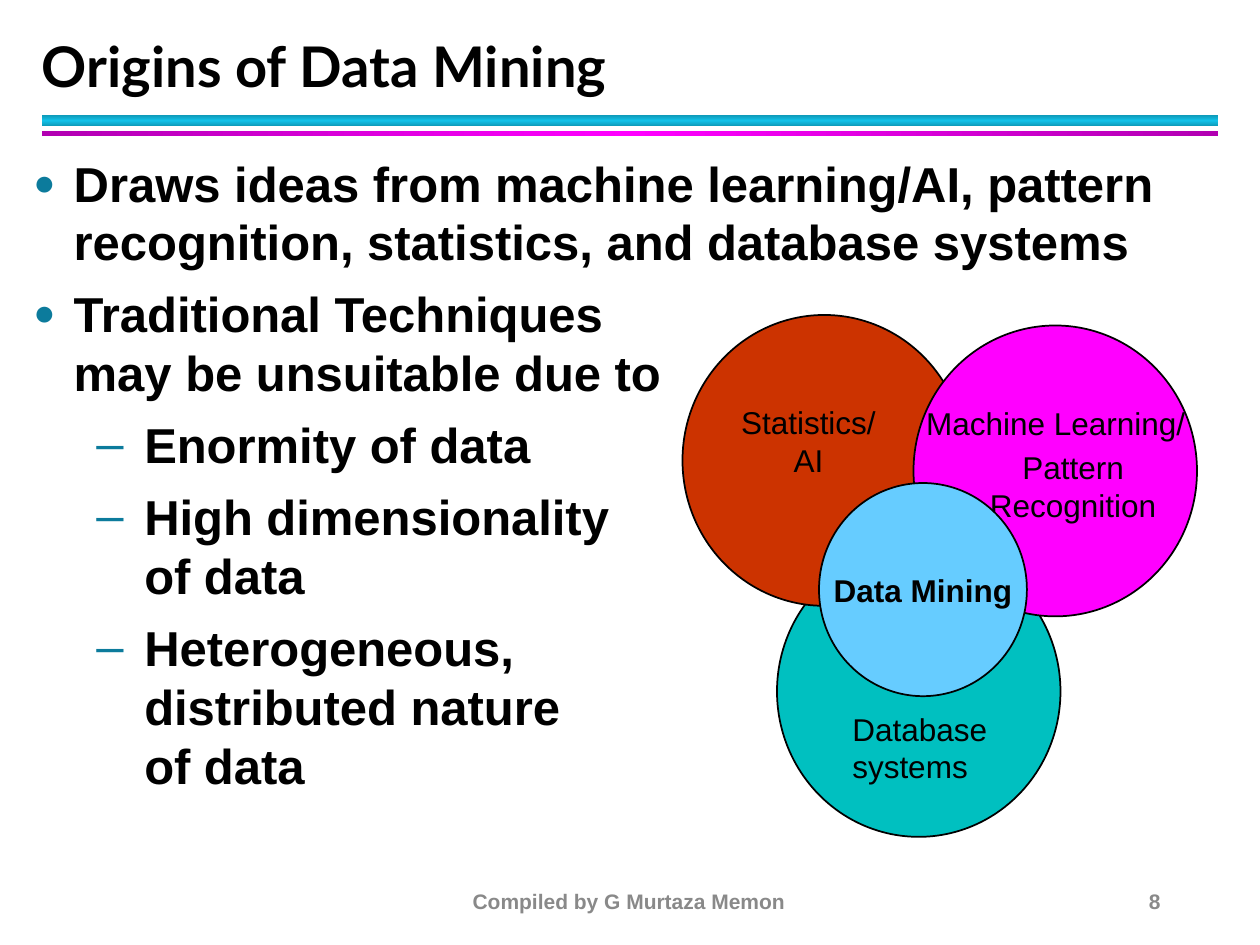
from copy import deepcopy
from dataclasses import dataclass

from pptx import Presentation
from pptx.dml.color import RGBColor as RGB
from pptx.enum.shapes import MSO_SHAPE as Shape
from pptx.enum.text import MSO_ANCHOR as Anchor, PP_ALIGN as Align
from pptx.oxml import parse_xml
from pptx.oxml.ns import nsdecls, qn
from pptx.util import Inches, Pt


@dataclass(frozen=True)
class Theme:
    font: str = "Arial"
    title_font: str = "Lato"
    title: int = 32
    body: int = 28
    label: int = 18
    footer: int = 12
    ink: str = "000000"
    muted: str = "898989"
    bullet: str = "0C7B9C"
    bar: tuple = ("0E9BBA", "12C2E9", "0E9BBA")
    rule: tuple = ("B200B2", "FF00FF", "B200B2")
    database: str = "00C0C0"
    statistics: str = "CC3300"
    learning: str = "FF00FF"
    mining: str = "66CCFF"


T = Theme()
WIDTH, HEIGHT = 10, 7.5
COLS, ROWS = 120, 90
BULLETS = {0: ("●", 75, 0.32, -0.32), 1: ("–", 100, 0.88, -0.38)}


def cells(col, row, cols, rows):
    w, h = WIDTH / COLS, HEIGHT / ROWS
    return [Inches(n) for n in (col * w, row * h, cols * w, rows * h)]


def add_bullet(p, level):
    char, size, margin, indent = BULLETS[level]
    pPr = p._p.get_or_add_pPr()
    pPr.set("marL", str(Inches(margin)))
    pPr.set("indent", str(Inches(indent)))
    ns = nsdecls("a")
    for xml in (
        f'<a:buClr {ns}><a:srgbClr val="{T.bullet}"/></a:buClr>',
        f'<a:buSzPct {ns} val="{size * 1000}"/>',
        f'<a:buFont {ns} typeface="{T.font}"/>',
        f'<a:buChar {ns} char="{char}"/>',
    ):
        pPr.append(parse_xml(xml))


def write(p, text, size=T.label, font=T.font, color=T.ink, bold=False,
          align=Align.LEFT, before=0, after=0, leading=None, level=None):
    p.text = text
    p.alignment = align
    p.space_before, p.space_after = Pt(before), Pt(after)
    if leading:
        p.line_spacing = Pt(leading)
    if level is not None:
        p.level = level
        add_bullet(p, level)
    for r in p.runs:
        r.font.size, r.font.name, r.font.bold = Pt(size), font, bold
        r.font.color.rgb = RGB.from_string(color)


def add_box(s, at, *texts, anchor=Anchor.TOP, inset=0.1, **fmt):
    tf = s.shapes.add_textbox(*cells(*at)).text_frame
    tf.word_wrap = True
    tf.vertical_anchor = anchor
    tf.margin_left = tf.margin_right = Inches(inset)
    for i, text in enumerate(texts):
        write(tf.add_paragraph() if i else tf.paragraphs[0], text, **fmt)
    return tf


def add_band(s, at, colors, angle):
    sp = s.shapes.add_shape(Shape.RECTANGLE, *cells(*at))
    sp.shadow.inherit = False
    sp.line.fill.background()
    sp.fill.gradient()
    sp.fill.gradient_angle = angle
    stops = sp._element.spPr.find(".//" + qn("a:gsLst"))
    stops.append(deepcopy(stops[0]))
    for i, (stop, color) in enumerate(zip(sp.fill.gradient_stops, colors)):
        stop.position = i / 2
        stop.color.rgb = RGB.from_string(color)


def add_circle(s, col, row, color, cols=27, rows=27.7):
    sp = s.shapes.add_shape(Shape.OVAL, *cells(col, row, cols, rows))
    sp.shadow.inherit = False
    sp.fill.solid()
    sp.fill.fore_color.rgb = RGB.from_string(color)
    sp.line.color.rgb = RGB.from_string(T.ink)
    sp.line.width = Pt(1)
    return sp


def add_points(s):
    points = [
        (0, "Draws ideas from machine learning/AI, pattern recognition, "
            "statistics, and database systems"),
        (0, "Traditional Techniques\nmay be unsuitable due to"),
        (1, "Enormity of data"),
        (1, "High dimensionality\nof data"),
        (1, "Heterogeneous,\ndistributed nature\nof data"),
    ]
    tf = add_box(s, (2, 14, 116, 72))
    for i, (level, text) in enumerate(points):
        write(tf.add_paragraph() if i else tf.paragraphs[0], text, size=T.body,
              bold=True, level=level, before=3.5 if i else 0, after=4)


def add_venn(s):
    add_circle(s, 74, 52, T.database)
    add_circle(s, 65, 30, T.statistics)
    add_circle(s, 87, 31, T.learning)
    tf = add_box(s, (88.2, 37.9, 28, 12.6), "Machine Learning/", inset=0)
    write(tf.add_paragraph(), "Pattern\nRecognition", align=Align.CENTER, before=3.4)
    add_box(s, (68, 37.8, 18, 8.4), "Statistics/\nAI", align=Align.CENTER)
    tf = add_circle(s, 78, 46, T.mining, 19.8, 20.3).text_frame
    tf.word_wrap = False
    tf.vertical_anchor = Anchor.MIDDLE
    write(tf.paragraphs[0], "Data Mining", bold=True, align=Align.CENTER)
    add_box(s, (80, 67, 19, 8.4), "Database systems")


def add_footer(s):
    fmt = dict(anchor=Anchor.MIDDLE, size=T.footer, color=T.muted, bold=True)
    add_box(s, (39.7, 83.4, 40.4, 4.8), "Compiled by G Murtaza Memon",
            align=Align.CENTER, **fmt)
    add_box(s, (84.7, 83.4, 27, 4.8), "8", align=Align.RIGHT, **fmt)


def main():
    prs = Presentation()
    prs.slide_width, prs.slide_height = Inches(WIDTH), Inches(HEIGHT)
    s = prs.slides.add_slide(prs.slide_layouts[6])
    add_band(s, (4, 11, 112, 1), T.bar, 90)
    add_band(s, (4, 12.5, 112, 0.5), T.rule, 0)
    add_points(s)
    add_box(s, (4, 3, 108.7, 7), "Origins of Data Mining", anchor=Anchor.BOTTOM,
            inset=0, size=T.title, font=T.title_font, bold=True, leading=36)
    add_venn(s)
    add_footer(s)
    prs.save("out.pptx")


if __name__ == "__main__":
    main()
